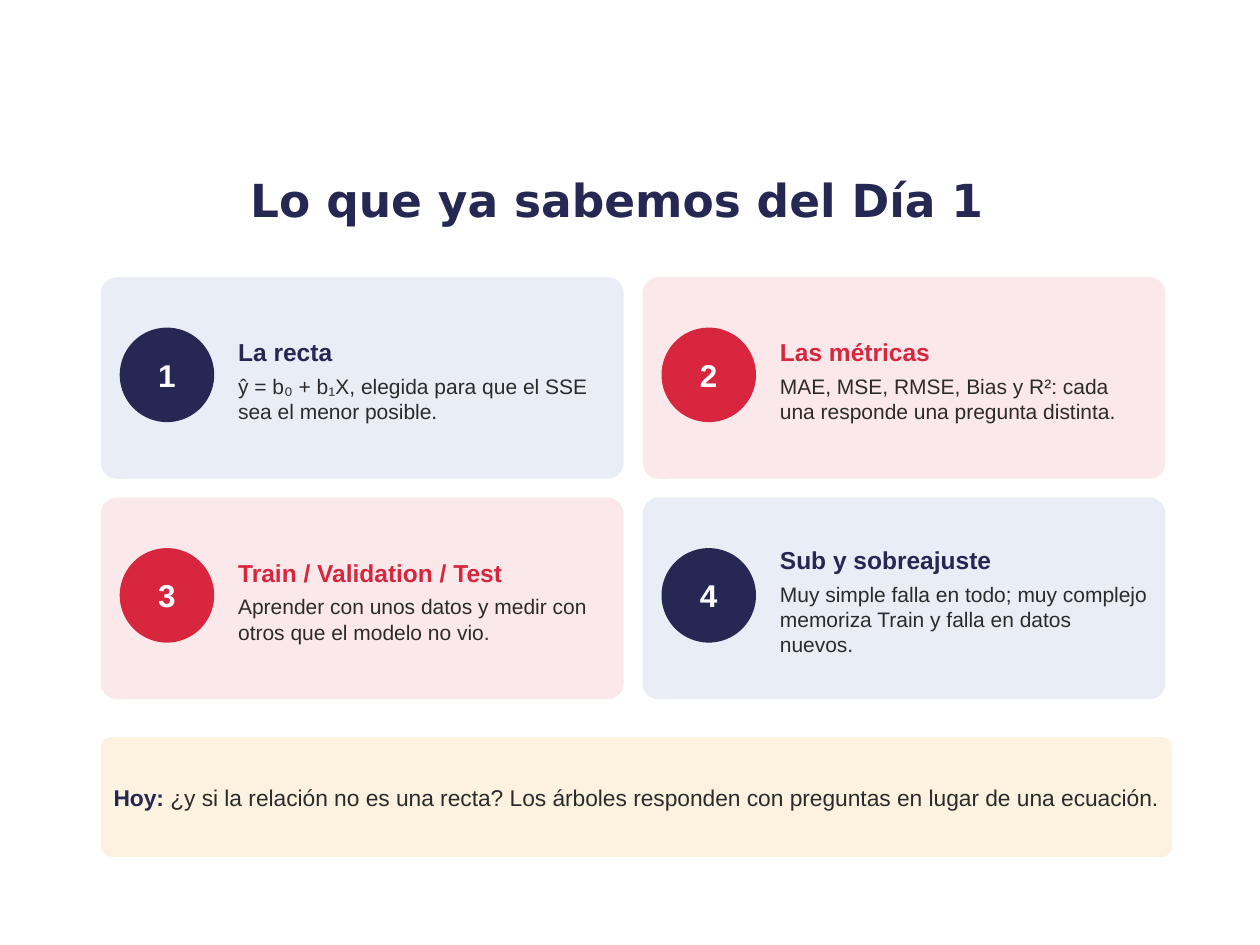
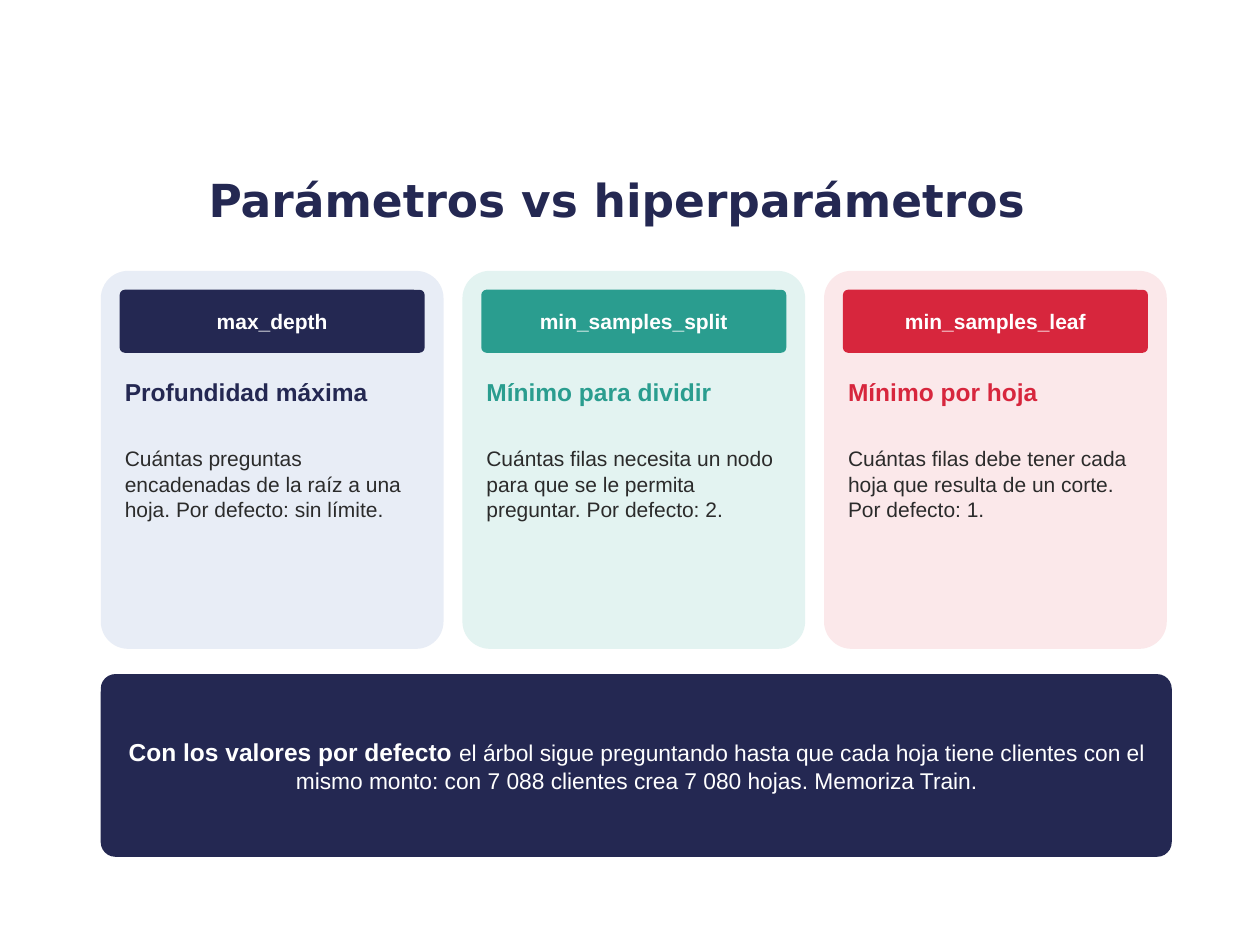
from dataclasses import dataclass

from pptx import Presentation
from pptx.dml.color import RGBColor
from pptx.enum.shapes import MSO_SHAPE
from pptx.enum.text import MSO_ANCHOR, PP_ALIGN
from pptx.util import Emu, Pt

ROUND, OVAL = MSO_SHAPE.ROUNDED_RECTANGLE, MSO_SHAPE.OVAL
LEFT, CENTER = PP_ALIGN.LEFT, PP_ALIGN.CENTER
TOP, MIDDLE = MSO_ANCHOR.TOP, MSO_ANCHOR.MIDDLE

PX = 9144  # EMU per px, 100 px to the inch
EDGE, GAP, PAD = 80, 15, 15
COLORS = {
    "navy": "242852", "red": "D7263D", "teal": "2A9D8F",
    "ink": "2B2B2B", "white": "FFFFFF", "cream": "FDF2E0",
}
TINTS = {"navy": "E8EDF6", "red": "FBE8EA", "teal": "E3F3F1"}


@dataclass(frozen=True)
class Run:
    text: str
    size: int
    color: str
    bold: bool = False
    name: str = "Arial"


@dataclass(frozen=True)
class Box:
    x: int
    y: int
    w: int
    h: int

    def emu(self) -> list[Emu]:
        return [Emu(n * PX) for n in (self.x, self.y, self.w, self.h)]


@dataclass(frozen=True)
class Card:
    tone: str
    head: str
    body: str
    tag: str


FACTS = [
    Card("navy", "La recta",
         "ŷ = b₀ + b₁X, elegida para que el SSE sea el menor posible.", "1"),
    Card("red", "Las métricas",
         "MAE, MSE, RMSE, Bias y R²: cada una responde una pregunta distinta.", "2"),
    Card("red", "Train / Validation / Test",
         "Aprender con unos datos y medir con otros que el modelo no vio.", "3"),
    Card("navy", "Sub y sobreajuste",
         "Muy simple falla en todo; muy complejo memoriza Train y falla en datos nuevos.",
         "4"),
]
KNOBS = [
    Card("navy", "Profundidad máxima",
         "Cuántas preguntas encadenadas de la raíz a una hoja. Por defecto: sin límite.",
         "max_depth"),
    Card("teal", "Mínimo para dividir",
         "Cuántas filas necesita un nodo para que se le permita preguntar. Por defecto: 2.",
         "min_samples_split"),
    Card("red", "Mínimo por hoja",
         "Cuántas filas debe tener cada hoja que resulta de un corte. Por defecto: 1.",
         "min_samples_leaf"),
]


def write(shape, paras: list[list[Run]], align=LEFT, anchor=MIDDLE,
          inset: int = 4, after: int = 4) -> None:
    """Fill a shape with paragraphs, each a list of runs."""
    frame = shape.text_frame
    room = Emu(inset * PX)
    form = {"word_wrap": True, "vertical_anchor": anchor, "margin_left": room,
            "margin_right": room, "margin_top": room, "margin_bottom": room}
    for key, value in form.items():
        setattr(frame, key, value)
    for i, runs in enumerate(paras):
        para = frame.add_paragraph() if i else frame.paragraphs[0]
        para.alignment, para.space_after = align, Pt(after)
        for run in runs:
            part = para.add_run()
            part.text = run.text
            look = {"name": run.name, "size": Pt(run.size), "bold": run.bold}
            for key, value in look.items():
                setattr(part.font, key, value)
            part.font.color.rgb = RGBColor.from_string(COLORS[run.color])


def panel(slide, box: Box, fill: str, kind=ROUND):
    shape = slide.shapes.add_shape(kind, *box.emu())
    shape.shadow.inherit = False
    shape.fill.solid()
    shape.fill.fore_color.rgb = RGBColor.from_string(fill)
    shape.line.fill.background()
    if kind == ROUND:
        shape.adjustments[0] = 0.08
    return shape


def label(slide, box: Box, *runs: Run, **form) -> None:
    """Add a text box with one run to a paragraph."""
    write(slide.shapes.add_textbox(*box.emu()), [[run] for run in runs], **form)


def start(deck, title: str):
    """Add a blank slide with its title."""
    slide = deck.slides.add_slide(deck.slide_layouts[6])
    label(slide, Box(75, 118, 830, 80), Run(title, 26, "navy", True, "DejaVu Sans"),
          align=CENTER, after=0)
    return slide


def band(slide, top: int, fill: str, runs: list[Run], align) -> None:
    """Close the slide with a wide band that ends at a fixed foot."""
    shape = panel(slide, Box(EDGE, top, 850, 680 - top), COLORS[fill])
    write(shape, [runs], align, inset=8, after=3)


def fact(slide, card: Card, x: int, y: int) -> None:
    """Draw a numbered card."""
    panel(slide, Box(x, y, 415, 160), TINTS[card.tone])
    disc = panel(slide, Box(x + PAD, y + 40, 75, 75), COLORS[card.tone], OVAL)
    write(disc, [[Run(card.tag, 18, "white", True)]], CENTER, inset=0, after=3)
    label(slide, Box(x + 105, y + 12, 300, 140),
          Run(card.head, 14, card.tone, True), Run(card.body, 12, "ink"))


def knob(slide, card: Card, x: int, y: int) -> None:
    """Draw a column with the parameter name on top."""
    panel(slide, Box(x, y, 272, 300), TINTS[card.tone])
    left = x + PAD
    tag = panel(slide, Box(left, y + PAD, 242, 50), COLORS[card.tone])
    write(tag, [[Run(card.tag, 12, "white", True)]], CENTER, inset=2, after=3)
    label(slide, Box(left, y + 80, 245, 50), Run(card.head, 14, card.tone, True),
          anchor=TOP)
    label(slide, Box(left, y + 135, 245, 160), Run(card.body, 12, "ink"), anchor=TOP)


def recap(deck) -> None:
    slide = start(deck, "Lo que ya sabemos del Día 1")
    for i, card in enumerate(FACTS):
        row, col = divmod(i, 2)
        fact(slide, card, EDGE + col * (415 + GAP), 220 + row * (160 + GAP))
    band(slide, 585, "cream", [
        Run("Hoy: ", 13, "navy", True),
        Run("¿y si la relación no es una recta? Los árboles responden con "
            "preguntas en lugar de una ecuación.", 13, "ink"),
    ], LEFT)


def params(deck) -> None:
    slide = start(deck, "Parámetros vs hiperparámetros")
    for i, card in enumerate(KNOBS):
        knob(slide, card, EDGE + i * (272 + GAP), 215)
    band(slide, 535, "navy", [
        Run("Con los valores por defecto ", 14, "white", True),
        Run("el árbol sigue preguntando hasta que cada hoja tiene clientes con el "
            "mismo monto: con 7 088 clientes crea 7 080 hojas. Memoriza Train.",
            13, "white"),
    ], CENTER)


def main() -> None:
    deck = Presentation()
    deck.slide_width, deck.slide_height = Emu(1000 * PX), Emu(750 * PX)
    recap(deck)
    params(deck)
    deck.save("out.pptx")


if __name__ == "__main__":
    main()
